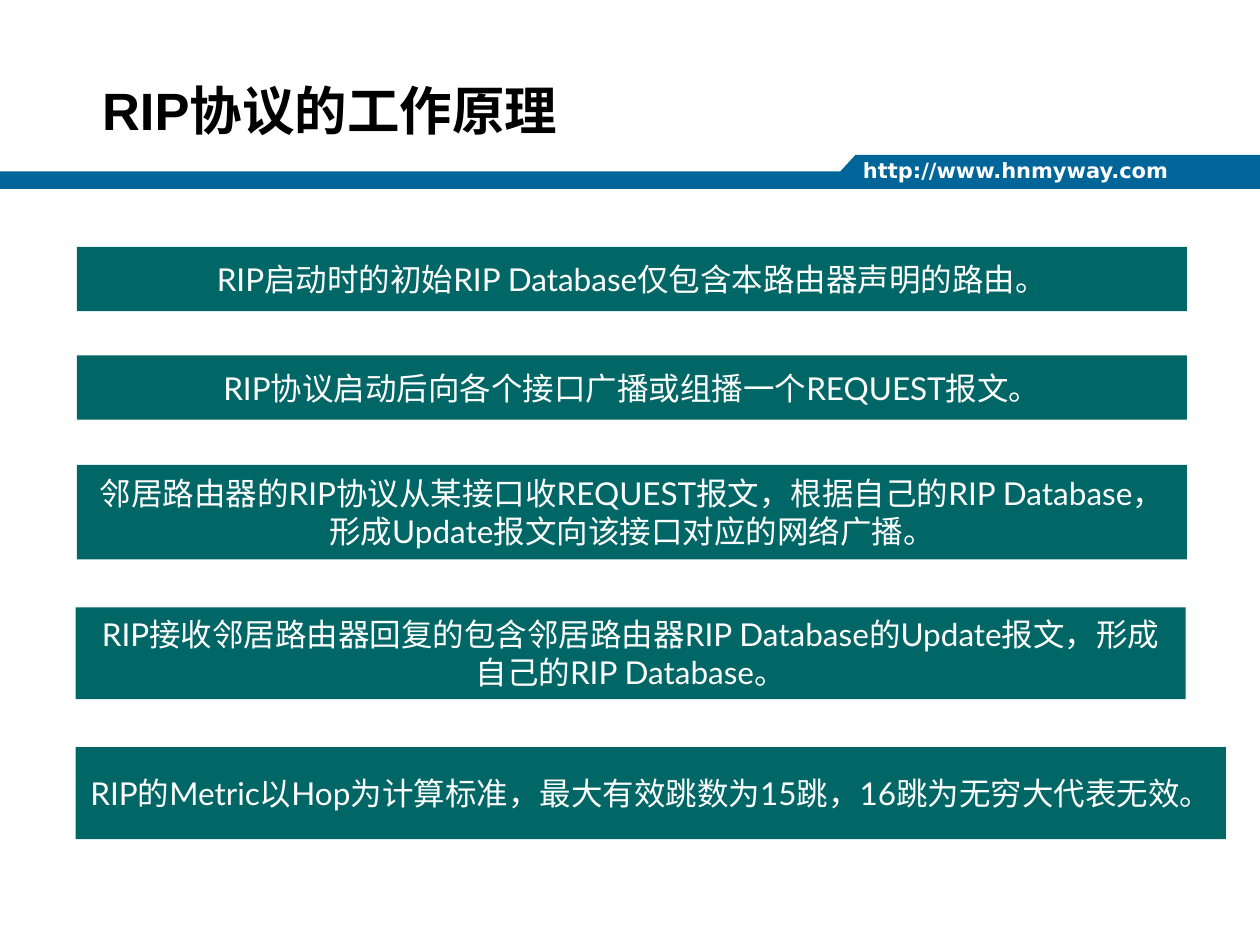
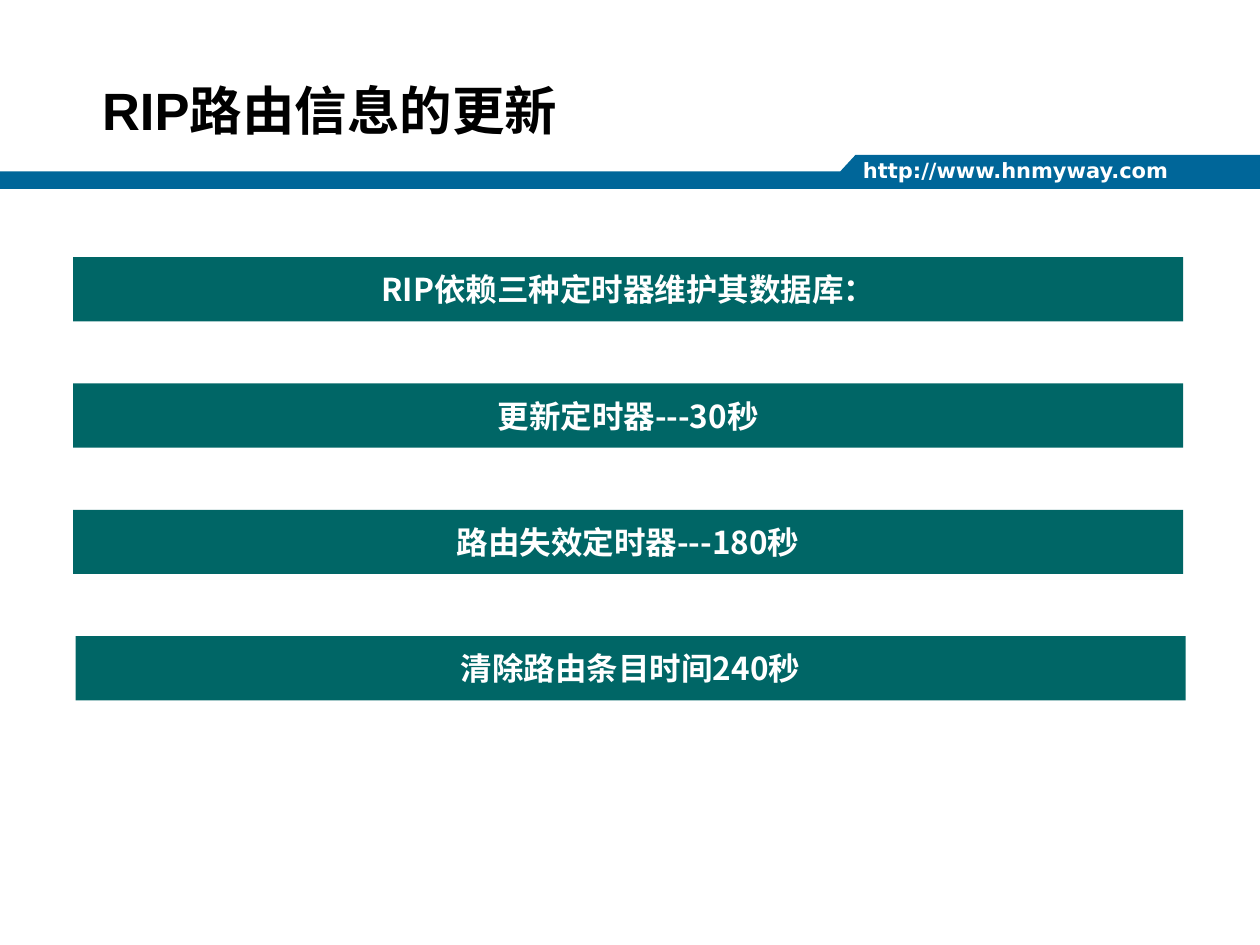
from dataclasses import dataclass

from lxml.etree import SubElement
from pptx import Presentation
from pptx.dml.color import RGBColor
from pptx.enum.shapes import MSO_SHAPE as Shape
from pptx.enum.text import MSO_ANCHOR as Anchor, MSO_AUTO_SIZE as AutoSize, PP_ALIGN as Align
from pptx.oxml.ns import qn
from pptx.slide import Slide
from pptx.text.text import TextFrame
from pptx.util import Inches, Length, Pt


@dataclass(frozen=True)
class TextStyle:
    face: str
    size: int
    color: RGBColor
    bold: bool = False
    align: Align = Align.LEFT
    anchor: Anchor = Anchor.TOP
    line_spacing: float = 1.0


@dataclass(frozen=True)
class Theme:
    white = RGBColor(0xFF, 0xFF, 0xFF)
    band = RGBColor(0x00, 0x66, 0x99)
    bar = RGBColor(0x00, 0x66, 0x66)
    east_asian = "Noto Sans CJK SC"
    title = TextStyle("Arial", 30, RGBColor(0, 0, 0), bold=True,
                      anchor=Anchor.BOTTOM, line_spacing=0.9)
    site = TextStyle("DejaVu Sans", 12, white, bold=True)
    principle = TextStyle("Lato", 18, white, align=Align.CENTER, anchor=Anchor.MIDDLE)
    timer = TextStyle("Noto Sans CJK SC", 18, white, bold=True,
                      align=Align.CENTER, anchor=Anchor.MIDDLE)


@dataclass(frozen=True)
class Box:
    """A place on the grid of 100 columns by 75 rows."""
    col: float
    row: float
    cols: float
    rows: float

    def lengths(self) -> tuple[Length, ...]:
        return tuple(grid(n) for n in (self.col, self.row, self.cols, self.rows))


@dataclass(frozen=True)
class Bar:
    text: str
    box: Box


@dataclass(frozen=True)
class Page:
    title: str
    bars: list[Bar]
    style: TextStyle


THEME = Theme()
COLUMNS, ROWS = 100, 75
TITLE_BOX = Box(7.2, 2.5, 89.1, 9.2)
SITE_BOX = Box(67.5, 12, 29.2, 3)
BAND_OUTLINE = [(0, 15), (0, 13.6), (66.7, 13.6), (67.9, 12.3), (COLUMNS, 12.3), (COLUMNS, 15)]
BAR_COLS, LINE_ROWS = 88.1, 5.1
TIMER_TOP, TIMER_STEP = 20.4, 10.03

PRINCIPLES = [
    Bar("RIP启动时的初始RIP Database仅包含本路由器声明的路由。",
        Box(6.1, 19.6, BAR_COLS, LINE_ROWS)),
    Bar("RIP协议启动后向各个接口广播或组播一个REQUEST报文。",
        Box(6.1, 28.2, BAR_COLS, LINE_ROWS)),
    Bar("邻居路由器的RIP协议从某接口收REQUEST报文，根据自己的RIP Database，"
        "形成Update报文向该接口对应的网络广播。", Box(6.1, 36.9, BAR_COLS, 7.5)),
    Bar("RIP接收邻居路由器回复的包含邻居路由器RIP Database的Update报文，"
        "形成自己的RIP Database。", Box(6, 48.2, BAR_COLS, 7.3)),
    Bar("RIP的Metric以Hop为计算标准，最大有效跳数为15跳，16跳为无穷大代表无效。",
        Box(6, 59.3, 91.3, 7.3)),
]
TIMERS = [
    Bar(text, Box(col, TIMER_TOP + i * TIMER_STEP, BAR_COLS, LINE_ROWS))
    for i, (text, col) in enumerate([
        ("RIP依赖三种定时器维护其数据库：", 5.8),
        ("更新定时器---30秒", 5.8),
        ("路由失效定时器---180秒", 5.8),
        ("清除路由条目时间240秒", 6),
    ])
]
PAGES = [
    Page("RIP协议的工作原理", PRINCIPLES, THEME.principle),
    Page("RIP路由信息的更新", TIMERS, THEME.timer),
]


def grid(units: float) -> Length:
    return Inches(units * 10 / COLUMNS)


def write(frame: TextFrame, text: str, style: TextStyle) -> None:
    frame.word_wrap = True
    frame.auto_size = AutoSize.NONE
    frame.vertical_anchor = style.anchor
    paragraph = frame.paragraphs[0]
    paragraph.text = text
    paragraph.alignment = style.align
    paragraph.line_spacing = style.line_spacing
    font = paragraph.font
    font.name, font.size, font.bold = style.face, Pt(style.size), style.bold
    font.color.rgb = style.color
    # East Asian glyphs take their own typeface
    defaults = paragraph._p.pPr.find(qn("a:defRPr"))
    SubElement(defaults, qn("a:ea")).set("typeface", THEME.east_asian)


def draw_title(slide: Slide, text: str) -> None:
    title = slide.shapes.title
    title.left, title.top, title.width, title.height = TITLE_BOX.lengths()
    frame = title.text_frame
    frame.margin_left = frame.margin_right = Inches(0.09)
    frame.margin_top = frame.margin_bottom = Inches(0.04)
    write(frame, text, THEME.title)


def draw_band(slide: Slide) -> None:
    start, *others = [(grid(x), grid(y)) for x, y in BAND_OUTLINE]
    builder = slide.shapes.build_freeform(*start)
    builder.add_line_segments(others, close=True)
    band = builder.convert_to_shape()
    band.shadow.inherit = False
    band.fill.solid()
    band.fill.fore_color.rgb = THEME.band
    band.line.fill.background()
    site = slide.shapes.add_textbox(*SITE_BOX.lengths())
    write(site.text_frame, "http://www.hnmyway.com", THEME.site)


def draw_bar(slide: Slide, bar: Bar, style: TextStyle) -> None:
    panel = slide.shapes.add_shape(Shape.RECTANGLE, *bar.box.lengths())
    panel.shadow.inherit = False
    panel.fill.solid()
    panel.fill.fore_color.rgb = THEME.bar
    panel.line.fill.background()
    write(panel.text_frame, bar.text, style)


def main() -> None:
    deck = Presentation()
    deck.slide_width, deck.slide_height = grid(COLUMNS), grid(ROWS)
    title_only = deck.slide_layouts.get_by_name("Title Only")
    for page in PAGES:
        slide = deck.slides.add_slide(title_only)
        draw_band(slide)
        draw_title(slide, page.title)
        for bar in page.bars:
            draw_bar(slide, bar, page.style)
    deck.save("out.pptx")


if __name__ == "__main__":
    main()
